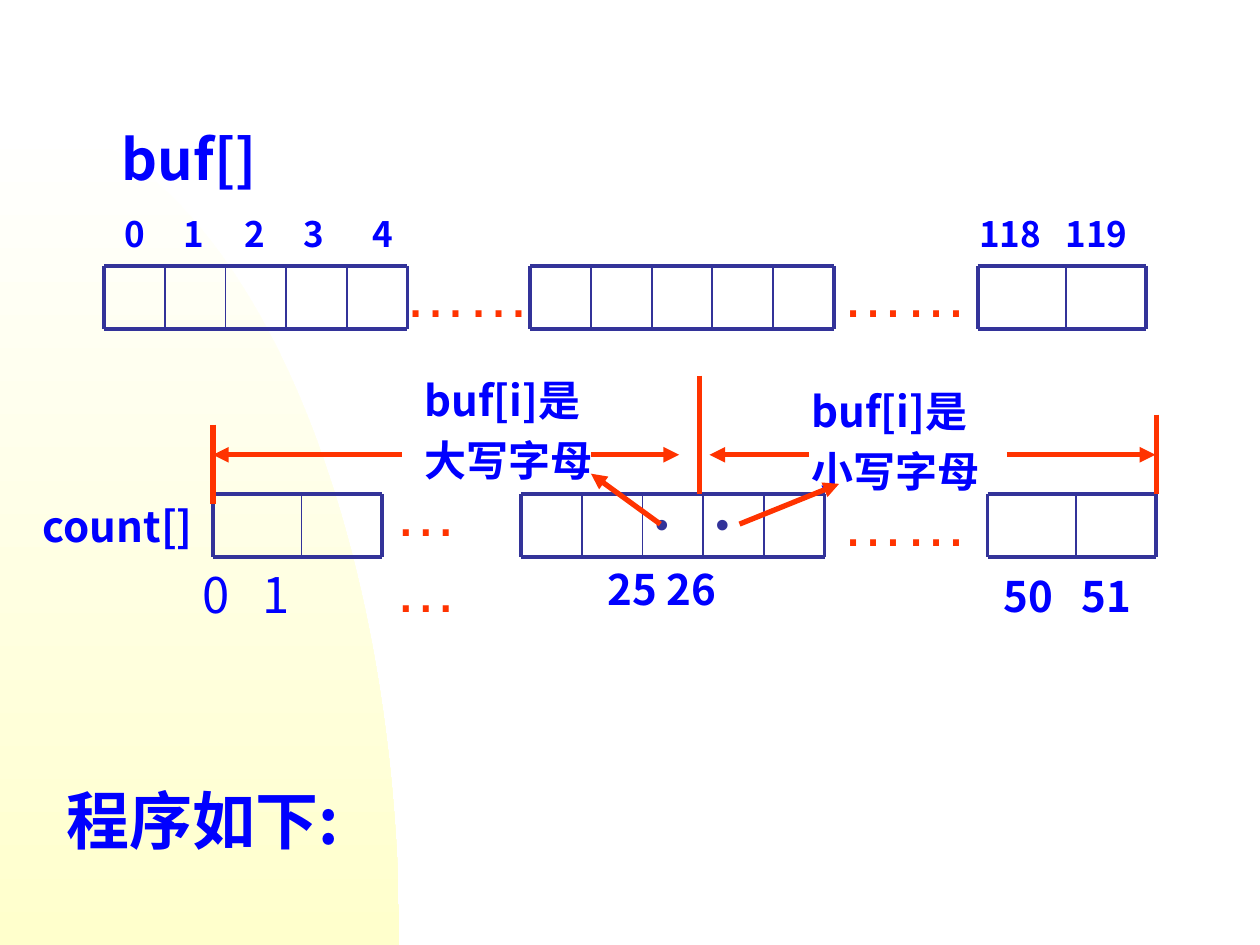
from math import cos, pi, sin

from lxml import etree
from pptx import Presentation
from pptx.dml.color import RGBColor
from pptx.enum.shapes import MSO_CONNECTOR
from pptx.enum.text import MSO_ANCHOR, MSO_AUTO_SIZE
from pptx.oxml.ns import qn
from pptx.util import Pt

STRAIGHT = MSO_CONNECTOR.STRAIGHT
TOP = MSO_ANCHOR.TOP
FIXED_SIZE = MSO_AUTO_SIZE.NONE

WHITE = RGBColor(0xFF, 0xFF, 0xFF)
CREAM = RGBColor(0xFF, 0xFF, 0xCC)
BLUE = RGBColor(0x00, 0x00, 0xFF)
NAVY = RGBColor(0x33, 0x33, 0x99)
ORANGE = RGBColor(0xFF, 0x33, 0x00)
SANS = "Noto Sans CJK SC"
ARIAL = "Arial"

SLIDE_W, SLIDE_H = 720, 540
CELL_H = 36
BUF_TOP, COUNT_TOP = 152, 282.2
FIVE_CELLS = [0, 34.65, 69.3, 103.95, 138.6, 173.25]
TWO_CELLS = [0, 50.6, 96.5]


def add_backdrop(slide):
    """Quarter ellipse around the lower left corner."""
    width, height, steps = 228.2, 473.8, 60
    angles = [pi / 2 * i / steps for i in range(steps + 1)]
    arc = [(Pt(width * sin(a)), Pt(SLIDE_H - height * cos(a))) for a in angles]
    outline = slide.shapes.build_freeform(*arc[0])
    outline.add_line_segments(arc[1:] + [(0, Pt(SLIDE_H))], close=True)
    backdrop = outline.convert_to_shape()
    backdrop.shadow.inherit = False
    backdrop.line.fill.background()
    backdrop.fill.gradient()
    backdrop.fill.gradient_angle = 270
    for stop, color in zip(backdrop.fill.gradient_stops, (WHITE, CREAM)):
        stop.color.rgb = color


def add_line(slide, x1, y1, x2, y2, color, weight, arrow=False):
    line = slide.shapes.add_connector(STRAIGHT, Pt(x1), Pt(y1), Pt(x2), Pt(y2))
    line.line.color.rgb = color
    line.line.width = Pt(weight)
    properties = line._element.spPr
    if arrow:
        etree.SubElement(properties.find(qn("a:ln")), qn("a:tailEnd"), type="triangle")
    etree.SubElement(properties, qn("a:effectLst"))


def add_cells(slide, left, top, edges):
    """Strip of array cells: heavy frame, thin dividers."""
    right = left + edges[-1]
    for y in (top, top + CELL_H):
        add_line(slide, left, y, right, y, NAVY, 2.25)
    for edge in edges:
        weight = 2.25 if edge in (edges[0], edges[-1]) else 1
        add_line(slide, left + edge, top, left + edge, top + CELL_H, NAVY, weight)


def add_label(slide, left, top, width, height, lines, size, color=BLUE,
              font=SANS, bold=True, leading=1.28, tab=None):
    box = slide.shapes.add_textbox(Pt(left), Pt(top), Pt(width), Pt(height))
    frame = box.text_frame
    frame.word_wrap = True
    frame.auto_size = FIXED_SIZE
    frame.vertical_anchor = TOP
    for i, text in enumerate(lines):
        paragraph = frame.paragraphs[0] if i == 0 else frame.add_paragraph()
        if tab:
            stops = etree.SubElement(paragraph._p.get_or_add_pPr(), qn("a:tabLst"))
            etree.SubElement(stops, qn("a:tab"), pos=str(Pt(tab)), algn="l")
        if leading:
            paragraph.line_spacing = Pt(round(size * leading, 1))
        if i:
            paragraph.space_before = Pt(3.6)
        run = paragraph.add_run()
        run.text = text
        run.font.size = Pt(size)
        run.font.bold = bold
        run.font.name = font
        run.font.color.rgb = color
        etree.SubElement(run._r.get_or_add_rPr(), qn("a:ea"), typeface=font)


def add_ellipsis(slide, left, top, width=90):
    add_label(slide, left, top, width, 93.6, ["……"], 36, ORANGE, ARIAL, False, 1.2)


def add_buf_row(slide):
    add_label(slide, 62.6, 64.8, 111, 45.4, ["buf[]"], 32)
    for index, left in enumerate((64.1, 97.9, 132.5, 166.3, 205.9)):
        add_label(slide, left, 116.6, 32, 31, [str(index)], 20)
    add_label(slide, 552.5, 116.6, 130, 31, ["118\t119"], 20, tab=49.3)
    for left, edges in ((59.6, FIVE_CELLS), (303.1, FIVE_CELLS), (558.6, TWO_CELLS)):
        add_cells(slide, left, BUF_TOP, edges)
    for left in (223.9, 473.8):
        add_ellipsis(slide, left, 142)


def add_count_row(slide):
    add_label(slide, 17.3, 280.8, 116, 36, ["count[]"], 24)
    for left, edges in ((121.7, TWO_CELLS), (297.9, FIVE_CELLS), (564.3, TWO_CELLS)):
        add_cells(slide, left, COUNT_TOP, edges)
    # The narrow box breaks its dots over two lines
    add_ellipsis(slide, 218.2, 267.2, 84)
    add_ellipsis(slide, 473.8, 273)
    for left in (367.2, 401.8):
        add_label(slide, left, COUNT_TOP, 34.6, 36, ["•"], 22.2, NAVY, ARIAL, False, None)
    # Indexes below the cells
    add_label(slide, 108.5, 316.8, 116, 41, ["0\t1"], 28, bold=False, tab=34.3)
    add_label(slide, 340, 316.8, 105, 36, ["25 26"], 24)
    add_label(slide, 566.6, 320.4, 116, 36, ["50\t51"], 24, tab=44.6)


def add_letter_ranges(slide):
    add_label(slide, 235.4, 208.8, 118.8, 99.4, ["buf[i]是", "大写字母"], 24)
    add_label(slide, 456.5, 214.6, 112.3, 99.4, ["buf[i]是", "小写字母"], 24)
    # Range limits
    for x, top, bottom in ((121.7, 242.6, 288), (399.6, 214.6, 282.2), (661, 236.9, 282.2)):
        add_line(slide, x, top, x, bottom, ORANGE, 3)
    # Range arrows
    for start, end in ((229.7, 121.7), (337.7, 388.1), (462.2, 405.4), (575.3, 660.2)):
        add_line(slide, start, 259.9, end, 259.9, ORANGE, 3, arrow=True)
    # Arrows from the counters to their ranges
    add_line(slide, 377.3, 299.5, 337.7, 270.7, ORANGE, 3, arrow=True)
    add_line(slide, 422.6, 299.5, 479.5, 276.5, ORANGE, 3, arrow=True)


def main():
    deck = Presentation()
    deck.slide_width, deck.slide_height = Pt(SLIDE_W), Pt(SLIDE_H)
    slide = deck.slides.add_slide(deck.slide_layouts[6])
    add_backdrop(slide)
    add_buf_row(slide)
    add_count_row(slide)
    add_letter_ranges(slide)
    add_label(slide, 31, 439.9, 188.6, 50.4, ["程序如下:"], 36)
    deck.save("out.pptx")


if __name__ == "__main__":
    main()
